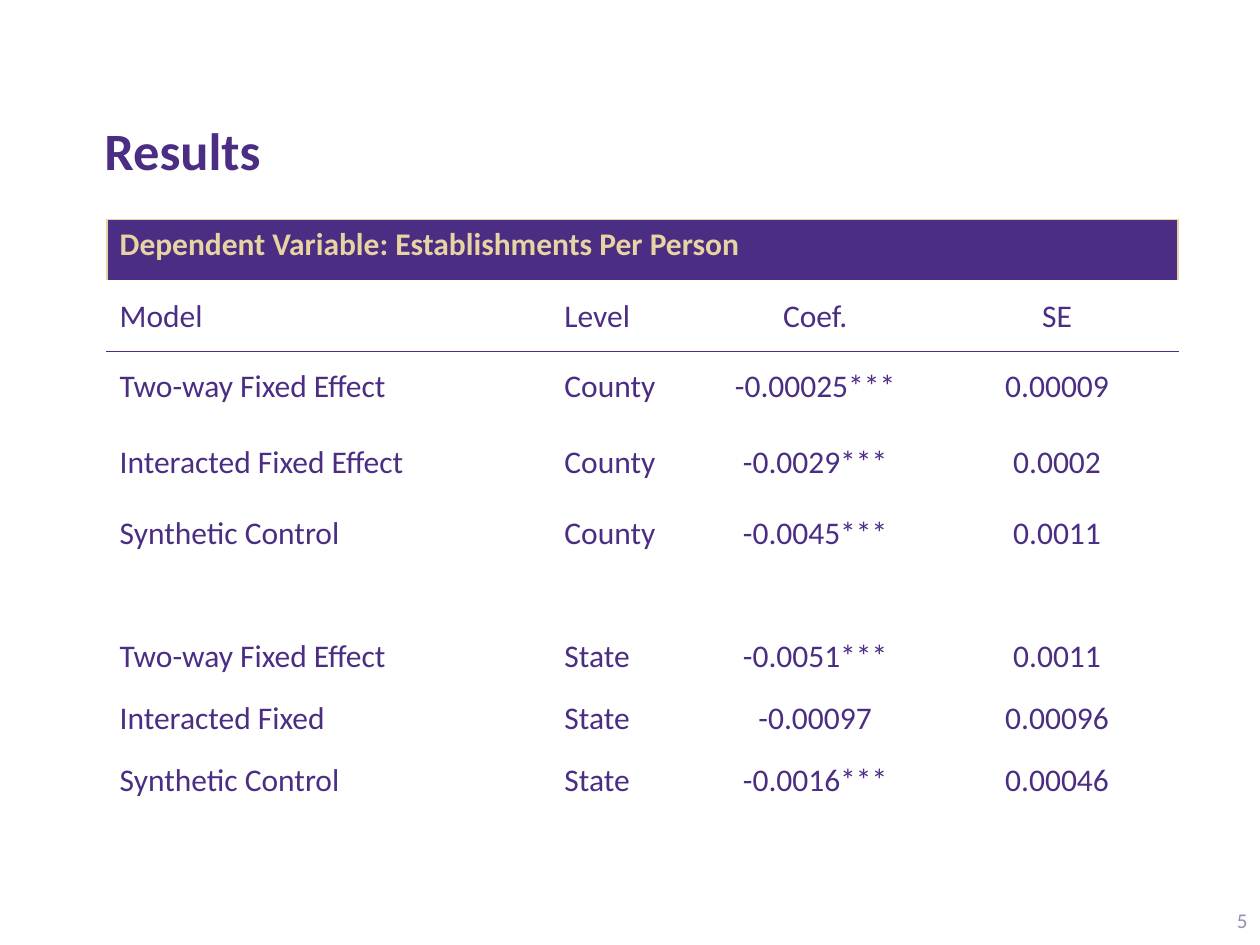
import dataclasses

import lxml.etree
import pptx
import pptx.dml.color
import pptx.enum.text
import pptx.oxml.ns
import pptx.util

ANCHOR = pptx.enum.text.MSO_ANCHOR
ALIGN = pptx.enum.text.PP_ALIGN


@dataclasses.dataclass(frozen=True)
class Theme:
    """Colours, type sizes and line width of the slide."""
    font: str = "Calibri"
    purple: str = "4B2E83"
    gold: str = "E8D3A2"
    muted: str = "968FAD"
    title_size: int = 30
    body_size: int = 18
    number_size: int = 12
    border_width: int = 1


THEME = Theme()
SLIDE_WIDTH, SLIDE_HEIGHT = 10, 7.5
COLUMN_WIDTHS = [3.53, 1.13, 1.92, 1.92]
ROW_HEIGHTS = [0.49, 0.56, 0.56, 0.64] + [0.49] * 5
ALIGNMENTS = [ALIGN.LEFT, ALIGN.LEFT, ALIGN.CENTER, ALIGN.CENTER]
CAPTION = "Dependent Variable: Establishments Per Person"
RESULTS = [
    ("Model", "Level", "Coef.", "SE"),
    ("Two-way Fixed Effect", "County", "-0.00025***", "0.00009"),
    ("Interacted Fixed Effect", "County", "-0.0029***", "0.0002"),
    ("Synthetic Control", "County", "-0.0045***", "0.0011"),
    ("", "", "", ""),
    ("Two-way Fixed Effect", "State", "-0.0051***", "0.0011"),
    ("Interacted Fixed", "State", "-0.00097", "0.00096"),
    ("Synthetic Control", "State", "-0.0016***", "0.00046"),
]


def write_text(text_frame, text, size, color, bold=False, align=ALIGN.LEFT):
    """Write one styled run into the first paragraph."""
    paragraph = text_frame.paragraphs[0]
    paragraph.alignment = align
    paragraph.font.size = pptx.util.Pt(size)
    if text:
        run = paragraph.add_run()
        run.text = text
        run.font.name = THEME.font
        run.font.size = pptx.util.Pt(size)
        run.font.bold = bold
        run.font.color.rgb = pptx.dml.color.RGBColor.from_string(color)


def add_label(slide, box, anchor, text, size, color, **style):
    """Add a text box placed by its left, top, width and height in inches."""
    shape = slide.shapes.add_textbox(*map(pptx.util.Inches, box))
    shape.text_frame.word_wrap = True
    shape.text_frame.vertical_anchor = anchor
    write_text(shape.text_frame, text, size, color, **style)


def set_borders(cell, sides, color):
    """Draw solid borders on the given sides, in L, R, T, B order."""
    qualify = pptx.oxml.ns.qn
    properties = cell._tc.get_or_add_tcPr()
    for side in sides:
        line = lxml.etree.SubElement(properties, qualify(f"a:ln{side}"))
        line.set("w", str(pptx.util.Pt(THEME.border_width)))
        fill = lxml.etree.SubElement(line, qualify("a:solidFill"))
        lxml.etree.SubElement(fill, qualify("a:srgbClr")).set("val", color)


def fill_caption_row(table):
    """Merge the first row into a filled caption with a gold outline."""
    last = len(COLUMN_WIDTHS) - 1
    caption = table.cell(0, 0)
    caption.merge(table.cell(0, last))
    for column in range(last + 1):
        cell = table.cell(0, column)
        set_borders(cell, "LRT" if column == 0 else "RT" if column == last else "T", THEME.gold)
        cell.fill.solid()
        cell.fill.fore_color.rgb = pptx.dml.color.RGBColor.from_string(THEME.purple)
    write_text(caption.text_frame, CAPTION, THEME.body_size, THEME.gold, bold=True)


def add_results_table(slide, left, top):
    """Add the table of model coefficients and standard errors."""
    size = sum(COLUMN_WIDTHS), sum(ROW_HEIGHTS)
    frame = slide.shapes.add_table(len(ROW_HEIGHTS), len(COLUMN_WIDTHS),
                                   *map(pptx.util.Inches, (left, top, *size)))
    table = frame.table
    table.first_row = table.horz_banding = False
    for column, width in zip(table.columns, COLUMN_WIDTHS):
        column.width = pptx.util.Inches(width)
    for row, height in zip(table.rows, ROW_HEIGHTS):
        row.height = pptx.util.Inches(height)
    fill_caption_row(table)
    heading_rule = {1: "B", 2: "T"}
    for row, values in enumerate(RESULTS, start=1):
        for column, (value, align) in enumerate(zip(values, ALIGNMENTS)):
            cell = table.cell(row, column)
            set_borders(cell, heading_rule.get(row, ""), THEME.purple)
            cell.fill.background()
            cell.vertical_anchor = ANCHOR.MIDDLE
            write_text(cell.text_frame, value, THEME.body_size, THEME.purple, align=align)


def main():
    """Build the results slide and save it."""
    presentation = pptx.Presentation()
    presentation.slide_width = pptx.util.Inches(SLIDE_WIDTH)
    presentation.slide_height = pptx.util.Inches(SLIDE_HEIGHT)
    slide = presentation.slides.add_slide(presentation.slide_layouts[6])
    add_label(slide, (0.73, 0.41, 8.95, 1.08), ANCHOR.BOTTOM, "Results",
              THEME.title_size, THEME.purple, bold=True)
    add_results_table(slide, 0.85, 1.74)
    number_width, number_height = 2.25, 0.4
    add_label(slide, (SLIDE_WIDTH - number_width, SLIDE_HEIGHT - number_height,
                      number_width, number_height), ANCHOR.MIDDLE, "5",
              THEME.number_size, THEME.muted, align=ALIGN.RIGHT)
    presentation.save("out.pptx")


if __name__ == "__main__":
    main()
